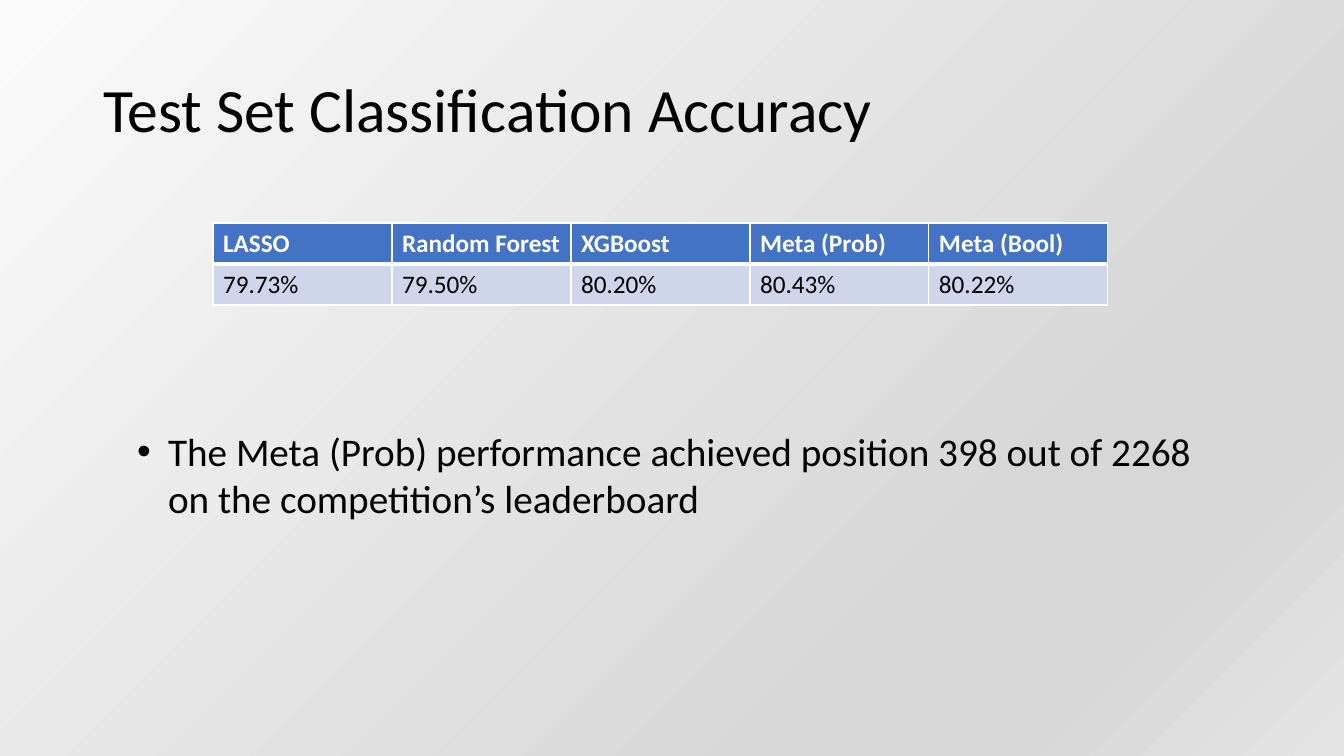
from lxml.etree import SubElement
from pptx import Presentation
from pptx.dml.color import RGBColor
from pptx.enum.text import MSO_ANCHOR as Anchor, MSO_AUTO_SIZE as AutoSize, PP_ALIGN as Align
from pptx.oxml.ns import qn
from pptx.util import Emu, Pt

SLIDE_WIDTH, SLIDE_HEIGHT = 1344, 756
EMU_PER_PX = 12192000 / SLIDE_WIDTH

BLACK = RGBColor(0x00, 0x00, 0x00)
WHITE = RGBColor(0xFF, 0xFF, 0xFF)
HEADER_BLUE = RGBColor(0x44, 0x72, 0xC4)
ROW_BLUE = RGBColor(0xCF, 0xD5, 0xEA)
PALE_GRAY = RGBColor(0xFA, 0xFA, 0xFA)
MID_GRAY = RGBColor(0xD7, 0xD7, 0xD7)
LIGHT_GRAY = RGBColor(0xE4, 0xE4, 0xE4)

BACKGROUND_STOPS = [(0, PALE_GRAY), (74, MID_GRAY), (83, MID_GRAY), (100, LIGHT_GRAY)]
ACCURACIES = {
    "LASSO": "79.73%",
    "Random Forest": "79.50%",
    "XGBoost": "80.20%",
    "Meta (Prob)": "80.43%",
    "Meta (Bool)": "80.22%",
}


def px(length):
    return Emu(round(length * EMU_PER_PX))


class SlideBuilder:
    font_name = "Calibri"

    def __init__(self, slide):
        self.slide = slide

    def background(self, stops, angle):
        fill = self.slide.background.fill
        fill.gradient()
        stop_list = self.slide.element.find(".//" + qn("a:gsLst"))
        for old_stop in list(stop_list):
            stop_list.remove(old_stop)
        for percent, color in stops:
            stop = SubElement(stop_list, qn("a:gs"), pos=str(percent * 1000))
            SubElement(stop, qn("a:srgbClr"), val=str(color))
        # gradient_angle counts counter-clockwise
        fill.gradient_angle = 360 - angle

    def run(self, paragraph, text, size, color=BLACK, bold=False):
        run = paragraph.add_run()
        run.text = text
        font = run.font
        font.name, font.size, font.bold = self.font_name, Pt(size), bold
        font.color.rgb = color

    def place(self, shape, left, top, width, height):
        shape.left, shape.top = px(left), px(top)
        shape.width, shape.height = px(width), px(height)

    def title(self, text, *box):
        shape = self.slide.shapes.title
        self.place(shape, *box)
        frame = shape.text_frame
        frame.vertical_anchor = Anchor.MIDDLE
        paragraph = frame.paragraphs[0]
        paragraph.alignment = Align.LEFT
        paragraph.line_spacing = 0.9
        self.run(paragraph, text, 44)

    def bullet(self, text, indent, *box):
        shape = self.slide.placeholders[1]
        self.place(shape, *box)
        frame = shape.text_frame
        frame.word_wrap = True
        frame.auto_size = AutoSize.SHAPE_TO_FIT_TEXT
        paragraph = frame.paragraphs[0]
        paragraph.space_before = Pt(0)
        properties = paragraph._p.get_or_add_pPr()
        properties.set("marL", str(px(indent)))
        properties.set("indent", str(-px(indent)))
        SubElement(properties, qn("a:buFont"), typeface="Arial")
        SubElement(properties, qn("a:buChar"), char="•")
        self.run(paragraph, text, 28)

    def borders(self, cell, top, bottom):
        properties = cell._tc.get_or_add_tcPr()
        for side, points in (("L", 1), ("R", 1), ("T", top), ("B", bottom)):
            line = SubElement(properties, qn("a:ln" + side), w=str(Pt(points)))
            solid = SubElement(line, qn("a:solidFill"))
            SubElement(solid, qn("a:srgbClr"), val=str(WHITE))

    def table(self, rows, left, top, column_width, row_height):
        columns = len(rows[0])
        table = self.slide.shapes.add_table(
            len(rows), columns, px(left), px(top),
            px(column_width * columns), px(row_height * len(rows))).table
        for column in table.columns:
            column.width = px(column_width)
        for row_index, texts in enumerate(rows):
            header = row_index == 0
            table.rows[row_index].height = px(row_height)
            for column_index, text in enumerate(texts):
                cell = table.cell(row_index, column_index)
                self.borders(cell, top=1 if header else 3, bottom=3 if header else 1)
                cell.fill.solid()
                cell.fill.fore_color.rgb = HEADER_BLUE if header else ROW_BLUE
                self.run(cell.text_frame.paragraphs[0], text, 18,
                         WHITE if header else BLACK, header)


def main():
    presentation = Presentation()
    presentation.slide_width, presentation.slide_height = px(SLIDE_WIDTH), px(SLIDE_HEIGHT)
    title_and_content = presentation.slide_layouts[1]
    builder = SlideBuilder(presentation.slides.add_slide(title_and_content))

    # Background and title
    builder.background(BACKGROUND_STOPS, 45)
    builder.title("Test Set Classification Accuracy", 93, 40, 1159, 146)

    # Accuracy per model
    builder.table([list(ACCURACIES), list(ACCURACIES.values())], 213, 223, 179, 41)

    # Competition result
    builder.bullet("The Meta (Prob) performance achieved position 398 out of 2268 "
                   "on the competition’s leaderboard", 31, 127, 422, 1083, 105)

    presentation.save("out.pptx")


if __name__ == "__main__":
    main()
